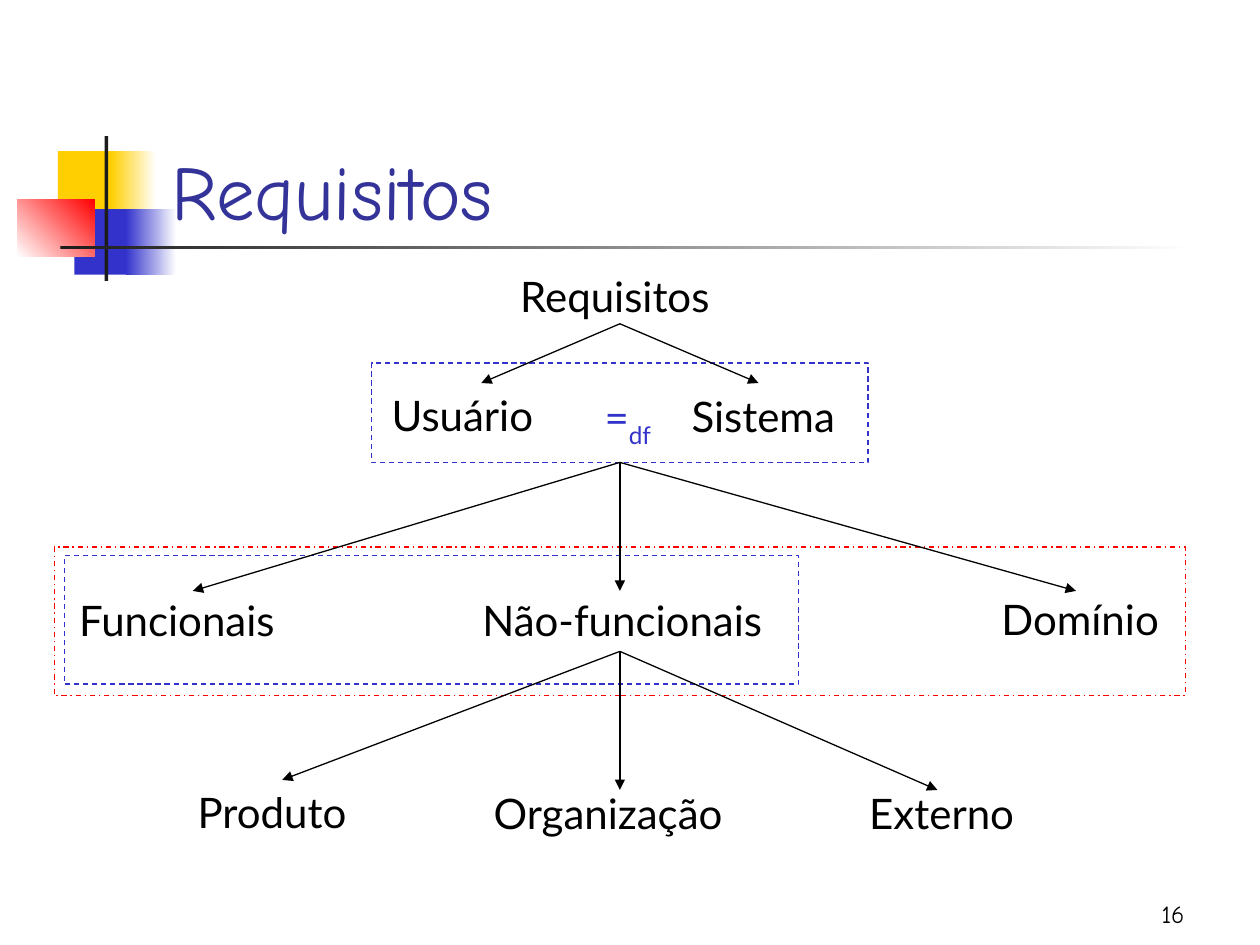
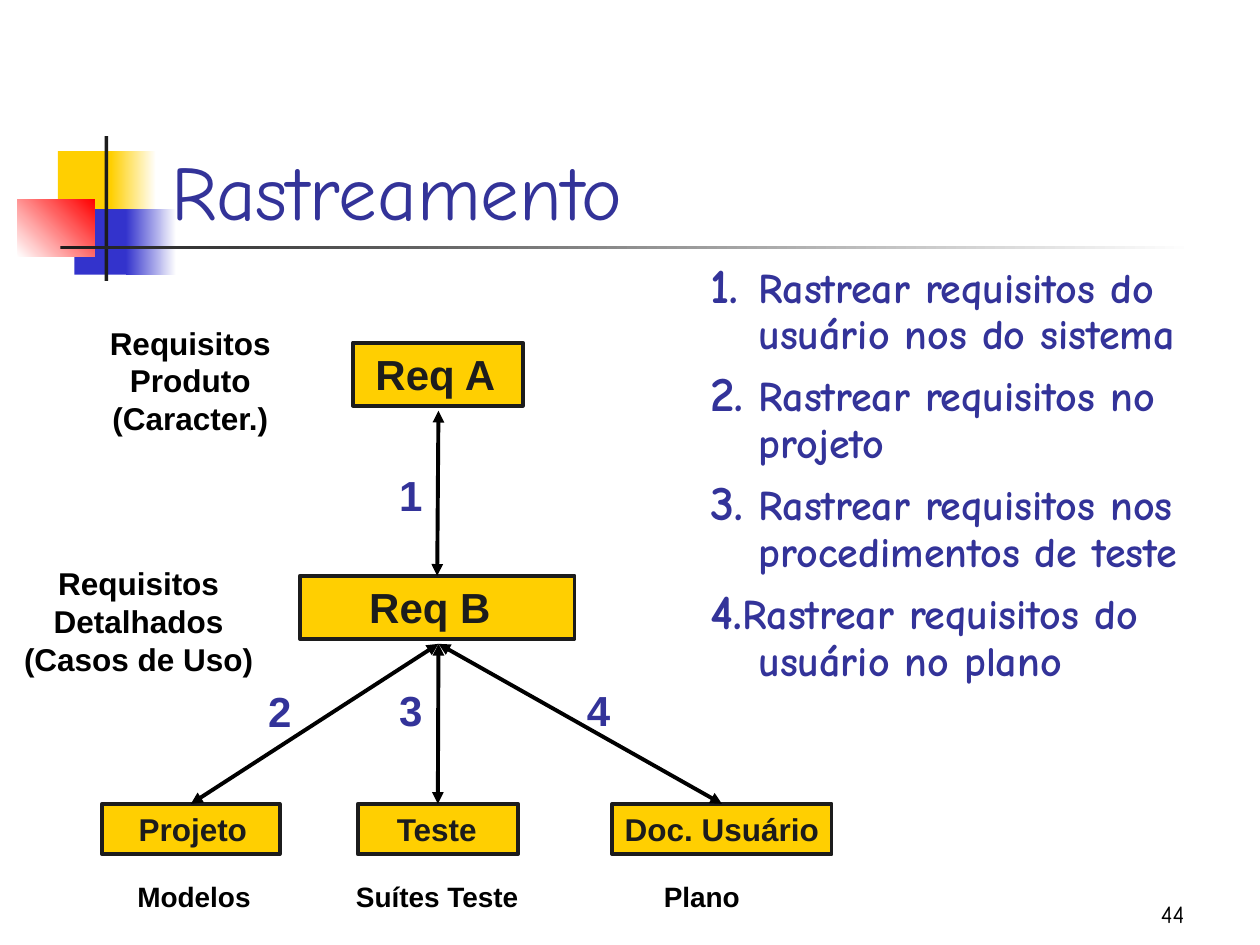
from lxml.etree import SubElement
from pptx import Presentation
from pptx.dml.color import RGBColor
from pptx.enum.dml import MSO_LINE
from pptx.enum.shapes import MSO_CONNECTOR, MSO_SHAPE
from pptx.enum.text import MSO_ANCHOR, MSO_AUTO_SIZE, PP_ALIGN
from pptx.oxml.ns import qn
from pptx.util import Emu, Pt

# Shared look; 100 px to the inch
EMU_PER_PX = 9144
YELLOW, BLUE, RED = "FFCF01", "3333CC", "FF0000"
WHITE, BLACK, CHARCOAL, NAVY = "FFFFFF", "000000", "1C1C1C", "333399"
TITLE_FONT, TREE_FONT, DIAGRAM_FONT = "Comic Neue", "Lato", "Arial"
TOP, BOTTOM = 0, 2


def px(length):
    return Emu(length * EMU_PER_PX)


def color(hex_string):
    return RGBColor.from_string(hex_string)


def add_run(paragraph, text, font, size, hex_color, bold=False):
    run = paragraph.add_run()
    run.text = text
    run.font.name = font
    run.font.size = Pt(size)
    run.font.bold = bold
    run.font.color.rgb = color(hex_color)
    return run


def add_text(slide, area, lines, font, size, hex_color, bold=False,
             align=PP_ALIGN.LEFT, anchor=MSO_ANCHOR.TOP, wrap=True):
    """Add a text box with one paragraph for each line."""
    frame = slide.shapes.add_textbox(*map(px, area)).text_frame
    frame.word_wrap = wrap
    frame.auto_size = MSO_AUTO_SIZE.NONE if wrap else MSO_AUTO_SIZE.SHAPE_TO_FIT_TEXT
    frame.vertical_anchor = anchor
    for index, line in enumerate(lines):
        paragraph = frame.add_paragraph() if index else frame.paragraphs[0]
        paragraph.alignment = align
        add_run(paragraph, line, font, size, hex_color, bold)
    return frame


def add_rectangle(slide, area, fill=None, fade_to=None, angle=0,
                  line=None, width=0.75, dash=None):
    shape = slide.shapes.add_shape(MSO_SHAPE.RECTANGLE, *map(px, area))
    shape.shadow.inherit = False
    if fade_to:
        shape.fill.gradient()
        shape.fill.gradient_angle = angle
        for stop, stop_color in zip(shape.fill.gradient_stops, (fill, fade_to)):
            stop.color.rgb = color(stop_color)
    elif fill:
        shape.fill.solid()
        shape.fill.fore_color.rgb = color(fill)
    else:
        shape.fill.background()
    if line:
        shape.line.color.rgb = color(line)
        shape.line.width = Pt(width)
        if dash:
            shape.line.dash_style = dash
    else:
        shape.line.fill.background()
    return shape


def add_labelled_box(slide, area, label, size, inset):
    """Add a yellow box whose label starts at the given inset."""
    box = add_rectangle(slide, area, YELLOW, line=CHARCOAL, width=2.25)
    frame = box.text_frame
    frame.word_wrap = True
    frame.vertical_anchor = MSO_ANCHOR.TOP
    frame.margin_left, frame.margin_right = px(inset), 0
    paragraph = frame.paragraphs[0]
    paragraph.alignment = PP_ALIGN.LEFT
    add_run(paragraph, label, DIAGRAM_FONT, size, CHARCOAL, bold=True)
    return box


def add_arrow(slide, start, end, width=0.75, both_ends=False):
    connector = slide.shapes.add_connector(
        MSO_CONNECTOR.STRAIGHT, *map(px, start + end))
    connector.line.color.rgb = color(BLACK)
    connector.line.width = Pt(width)
    line = connector.line._get_or_add_ln()
    for tag in ("a:headEnd", "a:tailEnd") if both_ends else ("a:tailEnd",):
        SubElement(line, qn(tag), type="triangle")
    SubElement(connector._element.spPr, qn("a:effectLst"))
    return connector


def add_base_slide(presentation, title, number):
    """Add a slide with the corner ornament, title and page number."""
    slide = presentation.slides.add_slide(presentation.slide_layouts[6])
    add_rectangle(slide, (46, 120, 48, 52), YELLOW)
    add_rectangle(slide, (88, 120, 36, 52), YELLOW, WHITE)
    add_rectangle(slide, (59, 166, 46, 52), BLUE)
    add_rectangle(slide, (100, 166, 40, 52), BLUE, WHITE)
    add_rectangle(slide, (14, 158, 61, 46), WHITE, RED, angle=45)
    add_rectangle(slide, (83, 108, 3, 115), CHARCOAL)
    add_rectangle(slide, (48, 195, 900, 3), CHARCOAL, WHITE)
    add_text(slide, (742, 692, 208, 50), [number], TITLE_FONT, 14, BLACK,
             align=PP_ALIGN.RIGHT, anchor=MSO_ANCHOR.BOTTOM)
    add_text(slide, (126, 67, 852, 125), [title], TITLE_FONT, 44, NAVY,
             anchor=MSO_ANCHOR.BOTTOM)
    return slide


def build_requirements_tree(presentation):
    slide = add_base_slide(presentation, "Requisitos", "16")

    # Names in the tree
    for name, left, top, width in (
        ("Requisitos", 403, 210, 182),
        ("Usuário", 301, 304, 142),
        ("Sistema", 539, 305, 143),
        ("Funcionais", 53, 467, 187),
        ("Não-funcionais", 373, 467, 256),
        ("Domínio", 785, 466, 153),
        ("Produto", 147, 619, 147),
        ("Organização", 382, 620, 217),
        ("Externo", 680, 620, 141),
    ):
        add_text(slide, (left, top, width, 50), [name], TREE_FONT, 24, BLACK, wrap=False)

    # Definition sign between the two kinds of reader
    frame = add_text(slide, (470, 306, 57, 56), ["="], TREE_FONT, 24, BLUE, wrap=False)
    subscript = add_run(frame.paragraphs[0], "df", TREE_FONT, 24, BLUE)
    subscript._r.get_or_add_rPr().set("baseline", "-25000")

    # Dashed groups
    add_rectangle(slide, (51, 441, 583, 102), line=BLUE, dash=MSO_LINE.DASH)
    add_rectangle(slide, (43, 434, 898, 118), line=RED, dash=MSO_LINE.DASH_DOT)
    reader_group = add_rectangle(slide, (295, 288, 394, 79), line=BLUE, dash=MSO_LINE.DASH)

    # Branches, all leaving from the same centre line
    center = 492
    for start_y, group, ends in (
        (257, None, ((382, 304), (602, 304))),
        (367, reader_group, ((153, 469), (center, 469), (854, 469))),
        (517, None, ((224, 619), (center, 627), (744, 627))),
    ):
        for end in ends:
            arrow = add_arrow(slide, (center, start_y), end)
            if group:
                arrow.begin_connect(group, BOTTOM)


def build_traceability(presentation):
    slide = add_base_slide(presentation, "Rastreamento", "44")

    # Numbered list
    frame = add_text(slide, (554, 202, 434, 352), [], TITLE_FONT, 24, NAVY)
    for index, (number, text) in enumerate((
        ("1.\t", "Rastrear requisitos do usuário nos do sistema"),
        ("2.\t", "Rastrear requisitos no projeto"),
        ("3.\t", "Rastrear requisitos nos procedimentos de teste"),
        ("4.", "Rastrear requisitos do usuário no plano"),
    )):
        paragraph = frame.add_paragraph() if index else frame.paragraphs[0]
        paragraph.line_spacing = 0.9
        paragraph.space_before = Pt(6)
        properties = paragraph._p.get_or_add_pPr()
        properties.set("marL", str(px(38)))
        properties.set("indent", str(px(-38)))
        add_run(paragraph, number, TITLE_FONT, 28, NAVY, bold=True)
        add_run(paragraph, text, TITLE_FONT, 24, NAVY, bold=True)

    # Requirement and artefact boxes
    add_labelled_box(slide, (280, 272, 135, 50), "Req A", 24, 18)
    detailed = add_labelled_box(slide, (238, 457, 218, 50), "Req B", 24, 55)
    artefacts = [
        add_labelled_box(slide, (left, 638, width, 40), label, 18, inset)
        for label, left, width, inset in (
            ("Projeto", 81, 141, 29),
            ("Teste", 284, 127, 31),
            ("Doc. Usuário", 486, 174, 10),
        )
    ]

    # Captions beside and below the boxes
    for lines, area in (
        (("Requisitos", "Produto", "(Caracter.)"), (77, 252, 148, 100)),
        (("Requisitos", "Detalhados", "(Casos de Uso)"), (9, 443, 202, 100)),
    ):
        add_text(slide, area, lines, DIAGRAM_FONT, 18, BLACK, bold=True,
                 align=PP_ALIGN.CENTER, wrap=False)
    for caption, left, width in (
        ("Modelos", 44, 220), ("Suítes Teste", 266, 162), ("Plano", 456, 202),
    ):
        add_text(slide, (left, 693, width, 37), [caption], DIAGRAM_FONT, 16, BLACK,
                 bold=True, align=PP_ALIGN.CENTER)

    # Link numbers
    for number, left, top in (
        ("1", 307, 368), ("2", 203, 539), ("3", 307, 538), ("4", 456, 538),
    ):
        add_text(slide, (left, top, 39, 50), [number], DIAGRAM_FONT, 24, NAVY,
                 bold=True, wrap=False)

    # Two-way links
    for start, target in [((348, 326), detailed)] + [((348, 511), box) for box in artefacts]:
        link = add_arrow(slide, start, start, width=2.25, both_ends=True)
        link.end_connect(target, TOP)


def main():
    presentation = Presentation()
    presentation.slide_width = px(1000)
    presentation.slide_height = px(750)
    build_requirements_tree(presentation)
    build_traceability(presentation)
    presentation.save("out.pptx")


if __name__ == "__main__":
    main()
